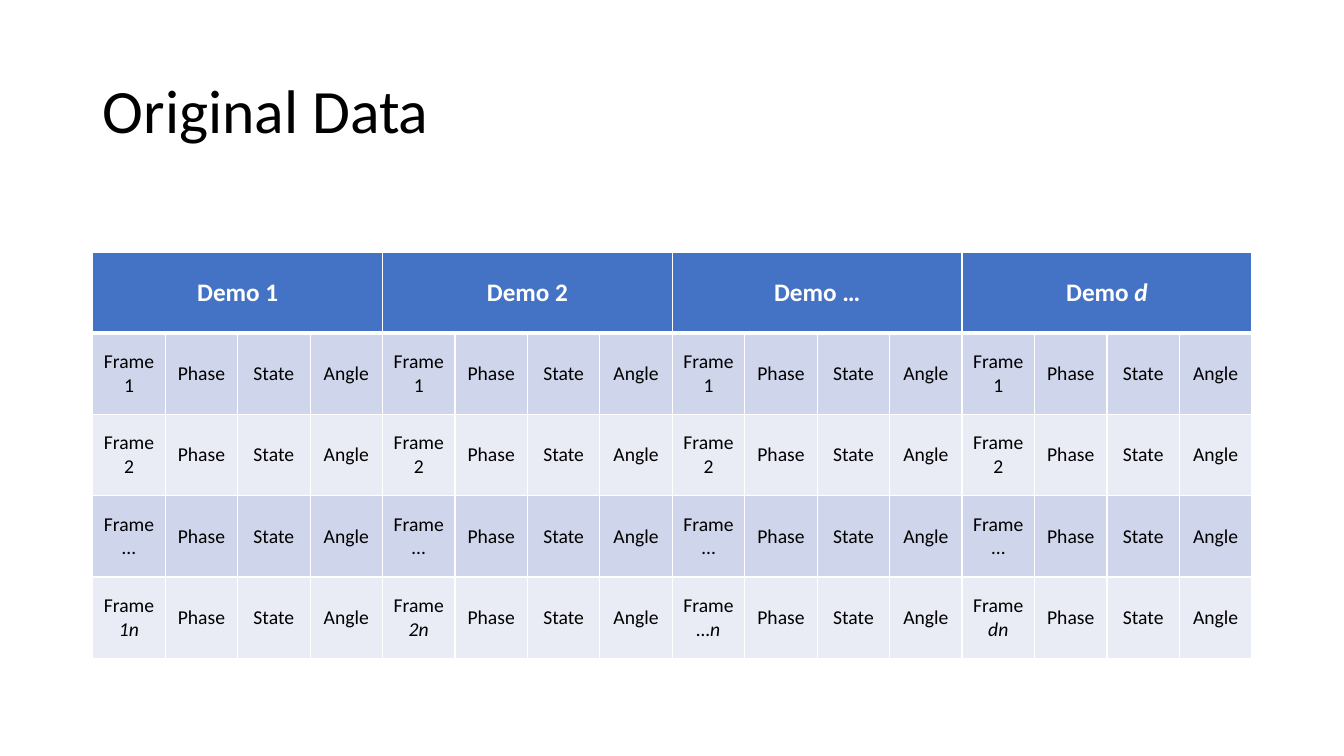
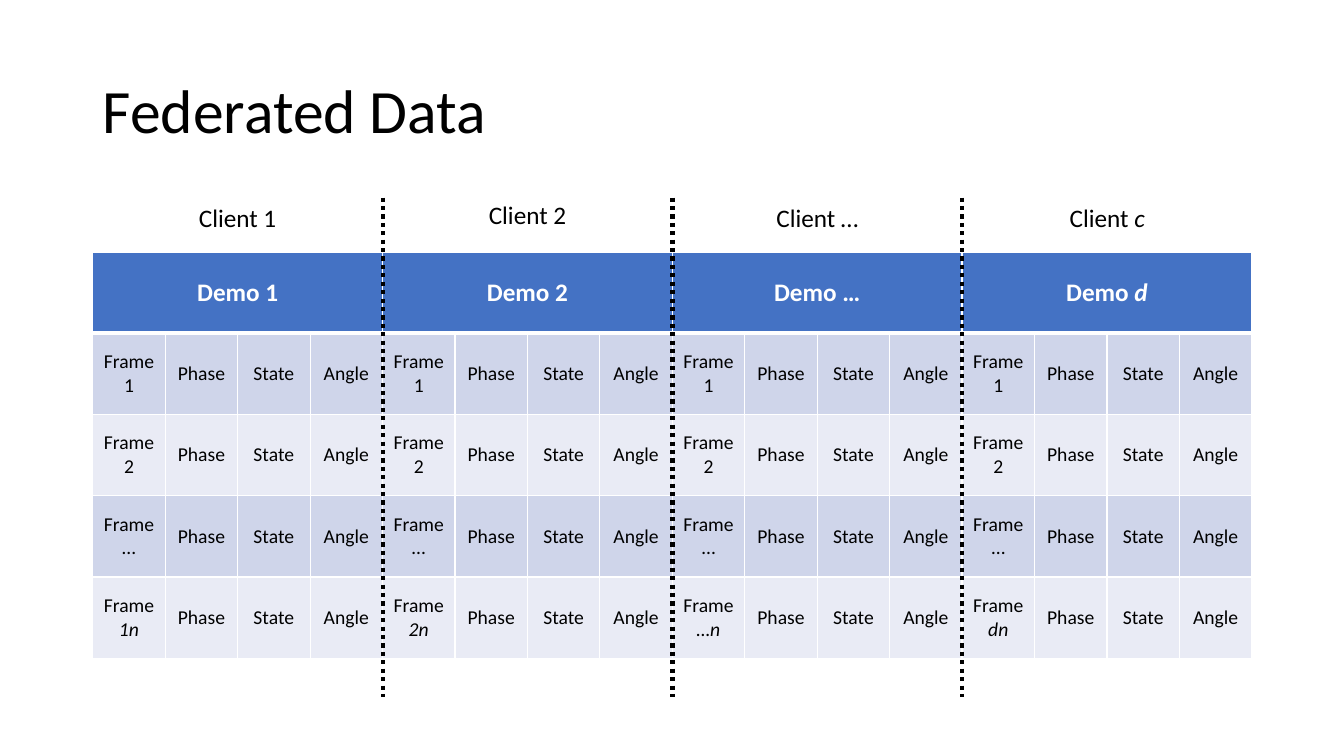
from dataclasses import dataclass

from lxml.etree import SubElement
from pptx import Presentation
from pptx.dml.color import RGBColor as RGB
from pptx.enum.dml import MSO_LINE
from pptx.enum.shapes import MSO_CONNECTOR as CONN
from pptx.enum.text import MSO_ANCHOR as ANCHOR, MSO_AUTO_SIZE as AUTO, PP_ALIGN as ALIGN
from pptx.oxml.ns import qn
from pptx.util import Inches, Pt


@dataclass(frozen=True)
class Theme:
    font: str = "Calibri"
    text: str = "000000"
    white: str = "FFFFFF"
    header: str = "4472C4"
    bands: tuple = ("CFD5EA", "E9EBF5")
    title_size: int = 44
    label_size: int = 18
    cell_size: int = 14
    rule: int = 1
    heavy_rule: int = 3


@dataclass(frozen=True)
class Box:
    left: float
    top: float
    width: float
    height: float

    def inches(self):
        return [Inches(v) for v in (self.left, self.top, self.width, self.height)]


THEME = Theme()
TITLE_BOX = Box(0.92, 0.4, 11.5, 1.45)
TABLE_BOX = Box(0.92, 2.5, 11.5, 4.03)

DEMOS = ("1", "2", "…", "d")
FRAMES = ("1", "2", "…", "n")
FIELDS = ("Phase", "State", "Angle")
GROUP = 1 + len(FIELDS)
# Plain text, italic text, height of the label's top above the table
CLIENTS = (("Client 1", "", 0.54), ("Client 2", "", 0.57),
           ("Client …", "", 0.54), ("Client ", "c", 0.54))


def write(p, plain, italic="", size=THEME.label_size, color=THEME.text,
          bold=False, align=ALIGN.CENTER):
    """Fill a paragraph with plain text and an optional italic ending."""
    p.text = plain
    if italic:
        p.add_run().text = italic
    p.alignment = align
    for i, r in enumerate(p.runs):
        r.font.name = THEME.font
        r.font.size = Pt(size)
        r.font.bold = bold
        r.font.italic = i == 1
        r.font.color.rgb = RGB.from_string(color)


def add_title(slide, text, box):
    sp = slide.shapes.title
    sp.left, sp.top, sp.width, sp.height = box.inches()
    tf = sp.text_frame
    tf.vertical_anchor = ANCHOR.MIDDLE
    p = tf.paragraphs[0]
    write(p, text, size=THEME.title_size, align=ALIGN.LEFT)
    p.line_spacing = 0.9


def style_cell(cell, fill, top, bottom):
    """Set fill, middle anchor and white borders; top and bottom are in points."""
    tc_pr = cell._tc.get_or_add_tcPr()
    widths = {"a:lnL": THEME.rule, "a:lnR": THEME.rule, "a:lnT": top, "a:lnB": bottom}
    for tag, width in widths.items():
        ln = SubElement(tc_pr, qn(tag), w=str(Pt(width)))
        SubElement(SubElement(ln, qn("a:solidFill")), qn("a:srgbClr"), val=THEME.white)
    cell.fill.solid()
    cell.fill.fore_color.rgb = RGB.from_string(fill)
    cell.vertical_anchor = ANCHOR.MIDDLE


def split_italic(label, text, italic):
    return (label, text) if italic else (label + text, "")


def add_demo_table(slide, box):
    n_rows, n_cols = 1 + len(FRAMES), GROUP * len(DEMOS)
    table = slide.shapes.add_table(n_rows, n_cols, *box.inches()).table
    for col in table.columns:
        col.width = Inches(box.width / n_cols)
    for r, row in enumerate(table.rows):
        row.height = Inches(box.height / n_rows)
        for cell in row.cells:
            style_cell(cell, THEME.bands[(r - 1) % 2] if r else THEME.header,
                       top=THEME.heavy_rule if r == 1 else THEME.rule,
                       bottom=THEME.rule if r else THEME.heavy_rule)

    for d, demo in enumerate(DEMOS):
        first = d * GROUP
        head = table.cell(0, first)
        head.merge(table.cell(0, first + GROUP - 1))
        write(head.text_frame.paragraphs[0], *split_italic("Demo ", demo, demo == "d"),
              color=THEME.white, bold=True)
        for r, frame in enumerate(FRAMES, 1):
            last = frame == "n"
            name = split_italic("Frame ", demo + frame if last else frame, last)
            for c, parts in enumerate([name, *((field,) for field in FIELDS)], first):
                write(table.cell(r, c).text_frame.paragraphs[0], *parts,
                      size=THEME.cell_size)


def add_divider(slide, x, top, bottom):
    line = slide.shapes.add_connector(CONN.STRAIGHT, Inches(x), Inches(top),
                                      Inches(x), Inches(bottom))
    line.line.color.rgb = RGB.from_string(THEME.text)
    line.line.width = Pt(THEME.heavy_rule)
    line.line.dash_style = MSO_LINE.ROUND_DOT
    SubElement(line._element.spPr, qn("a:effectLst"))


def add_clients(slide, box):
    """Divide the table in box among the clients and label each part."""
    step = box.width / len(CLIENTS)
    for i in range(1, len(CLIENTS)):
        add_divider(slide, box.left + i * step, box.top - 0.54,
                    box.top + box.height + 0.38)
    width = 1.1
    for i, (plain, italic, rise) in enumerate(CLIENTS):
        label = Box(box.left + (i + 0.5) * step - width / 2, box.top - rise, width, 0.4)
        tf = slide.shapes.add_textbox(*label.inches()).text_frame
        tf.word_wrap = False
        tf.auto_size = AUTO.NONE
        write(tf.paragraphs[0], plain, italic)


def add_data_slide(prs, title):
    slide = prs.slides.add_slide(prs.slide_layouts.get_by_name("Title Only"))
    add_title(slide, title, TITLE_BOX)
    add_demo_table(slide, TABLE_BOX)
    return slide


def main():
    prs = Presentation()
    prs.slide_width, prs.slide_height = Inches(13.33), Inches(7.5)
    add_data_slide(prs, "Original Data")
    add_clients(add_data_slide(prs, "Federated Data"), TABLE_BOX)
    prs.save("out.pptx")


if __name__ == "__main__":
    main()
